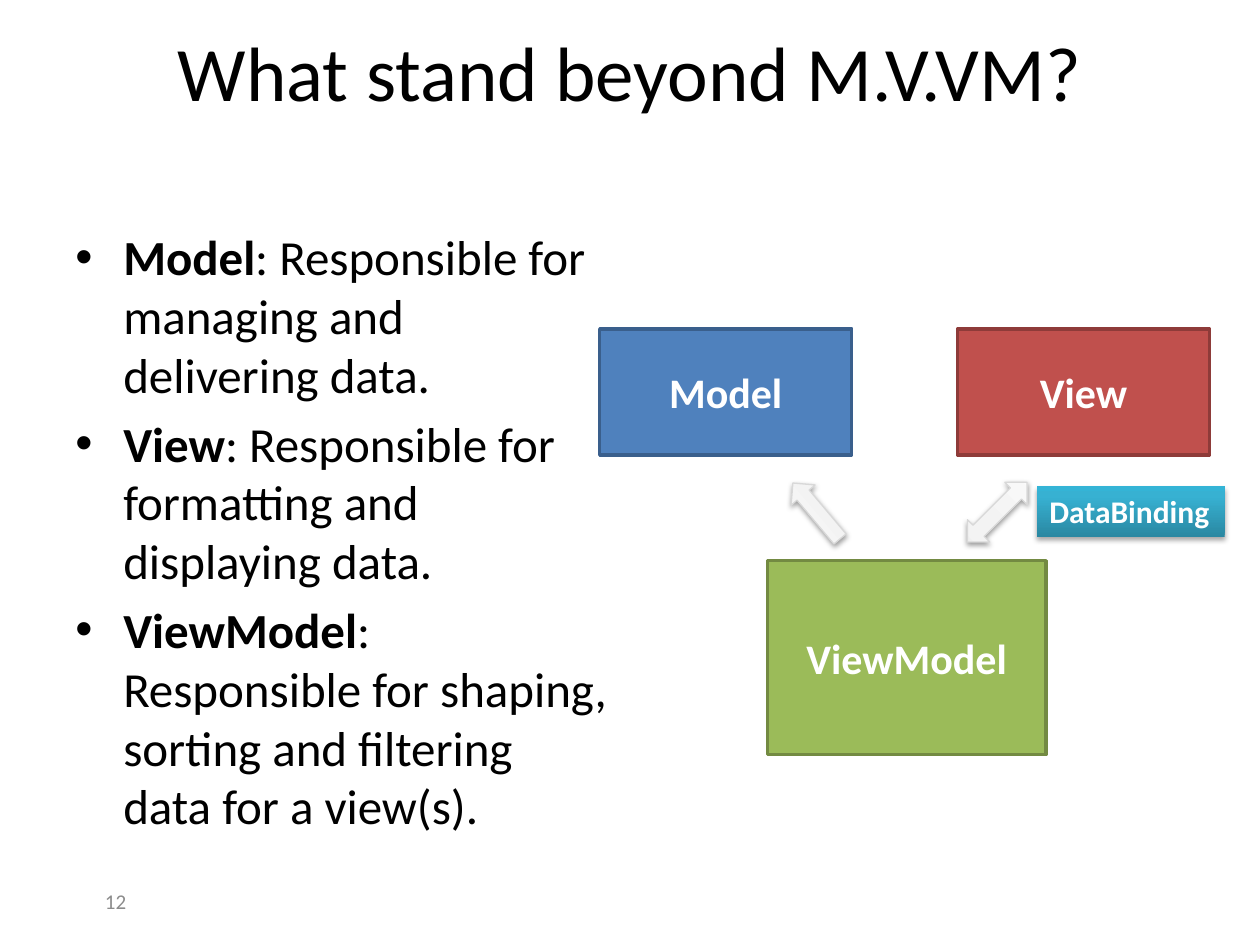
import pptx
import pptx.dml.color
import pptx.enum.shapes
import pptx.enum.text
import pptx.oxml
import pptx.oxml.ns
import pptx.util
from pptx.util import Inches

SHAPE = pptx.enum.shapes.MSO_SHAPE
ALIGN = pptx.enum.text.PP_ALIGN
ANCHOR = pptx.enum.text.MSO_ANCHOR
FONT = "Calibri"
ARROW_STOPS = [(0, "EFEFEF"), (35, "F3F3F3"), (100, "FAFAFA")]
LABEL_STOPS = [(0, "2A88A2"), (80, "37B1D2"), (100, "34B4D6")]
ROLES = [
    ("Model", "Responsible for managing and delivering data."),
    ("View", "Responsible for formatting and displaying data."),
    ("ViewModel", "Responsible for shaping, sorting and filtering data for a view(s)."),
]


def color(hex_value):
    return pptx.dml.color.RGBColor.from_string(hex_value)


def drawing_xml(tag, content="", **attributes):
    attrs = "".join(f' {key}="{value}"' for key, value in attributes.items())
    return pptx.oxml.parse_xml(
        f'<a:{tag} {pptx.oxml.ns.nsdecls("a")}{attrs}>{content}</a:{tag}>')


def add_run(paragraph, text, size=28, fill="000000", bold=False):
    run = paragraph.add_run()
    run.text = text
    run.font.name = FONT
    run.font.size = pptx.util.Pt(size)
    run.font.bold = bold
    run.font.color.rgb = color(fill)


def write_text(shape, text, align=ALIGN.CENTER, anchor=ANCHOR.MIDDLE, wrap=True, **font):
    frame = shape.text_frame
    frame.word_wrap = wrap
    frame.vertical_anchor = anchor
    frame.paragraphs[0].alignment = align
    add_run(frame.paragraphs[0], text, **font)


def add_textbox(slide, left, top, width, height):
    return slide.shapes.add_textbox(Inches(left), Inches(top), Inches(width), Inches(height))


def add_plain_shape(slide, kind, left, top, width, height):
    shape = slide.shapes.add_shape(
        kind, Inches(left), Inches(top), Inches(width), Inches(height))
    shape.shadow.inherit = False
    return shape


def set_line(shape, hex_value, width):
    shape.line.color.rgb = color(hex_value)
    shape.line.width = pptx.util.Pt(width)


def shade(shape, stops, shadow_alpha, shadow_distance):
    """Give the shape a gradient rising from the bottom and a soft shadow below."""
    shape.fill.gradient()
    properties = shape._element.spPr
    gradient = properties.find(pptx.oxml.ns.qn("a:gradFill"))
    for child in list(gradient):
        gradient.remove(child)
    gradient.append(drawing_xml("gsLst", "".join(
        f'<a:gs pos="{position * 1000}"><a:srgbClr val="{value}"/></a:gs>'
        for position, value in stops)))
    gradient.append(drawing_xml("lin", ang=270 * 60000, scaled=0))
    properties.find(pptx.oxml.ns.qn("a:effectLst")).append(drawing_xml(
        "outerShdw",
        f'<a:srgbClr val="000000"><a:alpha val="{shadow_alpha * 1000}"/></a:srgbClr>',
        blurRad=int(pptx.util.Pt(3.1)), dist=int(pptx.util.Pt(shadow_distance)),
        dir=90 * 60000, rotWithShape=0))


def add_roles(slide, left, top, width, height):
    frame = add_textbox(slide, left, top, width, height).text_frame
    frame.word_wrap = True
    for index, (role, duty) in enumerate(ROLES):
        paragraph = frame.add_paragraph() if index else frame.paragraphs[0]
        paragraph.space_before = pptx.util.Pt(5.6)
        indent = int(Inches(0.38))
        properties = paragraph._p.get_or_add_pPr()
        properties.set("marL", str(indent))
        properties.set("indent", str(-indent))
        properties.append(drawing_xml("buFont", typeface="Arial"))
        properties.append(drawing_xml("buChar", char="•"))
        add_run(paragraph, role, bold=True)
        add_run(paragraph, f": {duty}")


def add_component(slide, name, box, fill, outline):
    component = add_plain_shape(slide, SHAPE.RECTANGLE, *box)
    component.fill.solid()
    component.fill.fore_color.rgb = color(fill)
    set_line(component, outline, 2)
    write_text(component, name, size=24, fill="FFFFFF", bold=True)


def add_arrow(slide, kind, box, rotation):
    arrow = add_plain_shape(slide, kind, *box)
    arrow.rotation = rotation
    shade(arrow, ARROW_STOPS, 38, 1.6)
    set_line(arrow, "D8D8D8", 0.75)


def add_diagram(slide, left, top):
    add_component(slide, "Model", (left, top, 2, 1), "4F81BD", "3A5F8C")
    add_component(slide, "View", (left + 2.84, top, 2, 1), "C0504D", "8E3B39")
    add_component(slide, "ViewModel", (left + 1.33, top + 1.84, 2.21, 1.54),
                  "9BBB59", "738A42")
    add_arrow(slide, SHAPE.RIGHT_ARROW, (left + 1.43, top + 1.32, 0.58, 0.25), 229.9)
    add_arrow(slide, SHAPE.UP_DOWN_ARROW, (left + 3.03, top + 1.12, 0.25, 0.67), 45)

    binding = add_plain_shape(slide, SHAPE.RECTANGLE, left + 3.47, top + 1.25, 1.49, 0.4)
    shade(binding, LABEL_STOPS, 35, 1.8)
    binding.line.fill.background()
    write_text(binding, "DataBinding", align=ALIGN.LEFT, anchor=ANCHOR.TOP, wrap=False,
               size=18, fill="FFFFFF", bold=True)
    binding.text_frame.auto_size = pptx.enum.text.MSO_AUTO_SIZE.SHAPE_TO_FIT_TEXT


def main():
    deck = pptx.Presentation()
    deck.slide_width, deck.slide_height = Inches(10), Inches(7.5)
    slide = deck.slides.add_slide(deck.slide_layouts[6])
    write_text(add_textbox(slide, 0.5, 0.13, 9, 0.87), "What stand beyond M.V.VM?", size=44)
    add_roles(slide, 0.5, 1.75, 4.42, 4.95)
    write_text(add_textbox(slide, 0.67, 6.95, 0.43, 0.4), "12",
               align=ALIGN.RIGHT, size=12, fill="8C8C8C")
    add_diagram(slide, 4.76, 2.61)
    deck.save("out.pptx")


if __name__ == "__main__":
    main()
